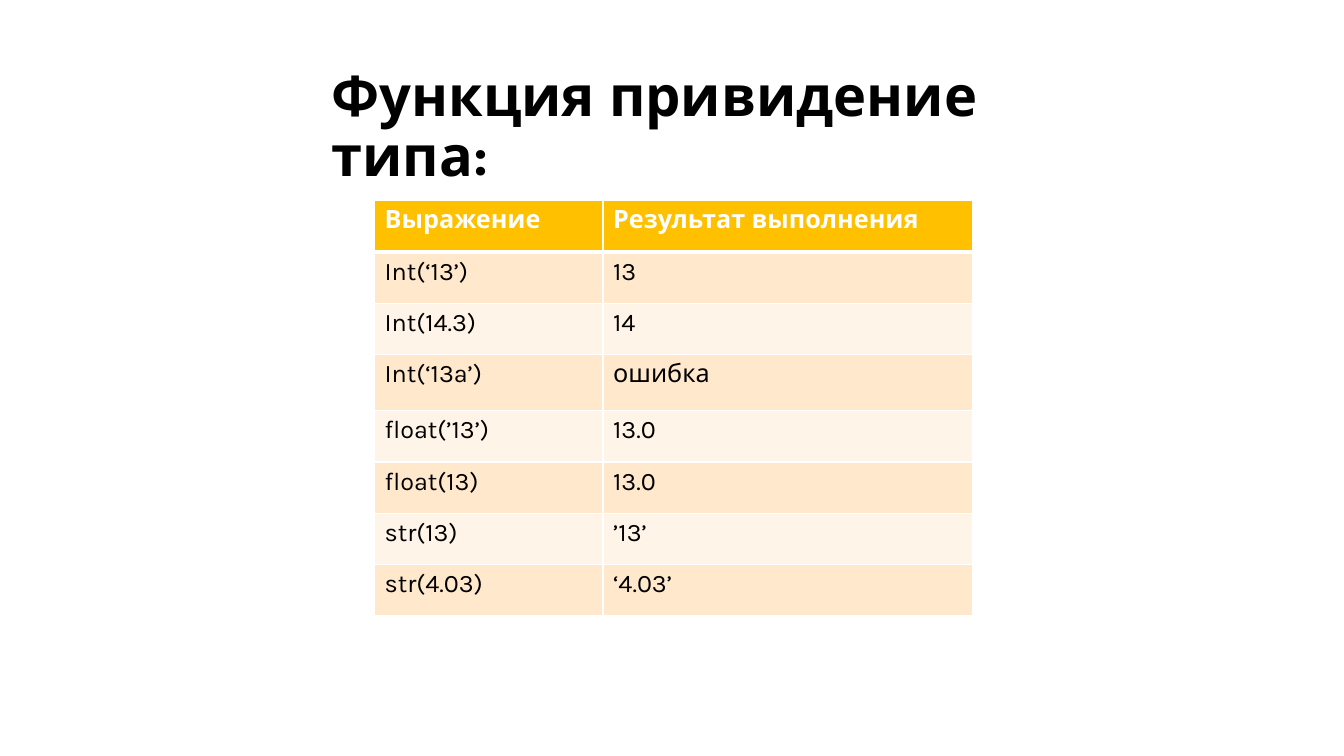
"""Builds a slide with a table of Python type conversions."""
from dataclasses import dataclass

import pptx
import pptx.dml.color
import pptx.enum.text
import pptx.oxml
import pptx.oxml.ns
import pptx.util

PX = 7620
FONT = "Karla"
BLACK, WHITE, GOLD = "000000", "FFFFFF", "FFC000"
BANDS = ("FFE8CC", "FFF4E7")
COLUMN_WIDTHS = (272, 440)
ROW_HEIGHT, ERROR_ROW_HEIGHT = 61, 67


@dataclass(frozen=True)
class Conversion:
    expression: str
    result: str
    height: int = ROW_HEIGHT


HEADER = Conversion("Выражение", "Результат выполнения")
CONVERSIONS = (
    Conversion("Int(‘13’)", "13"),
    Conversion("Int(14.3)", "14"),
    Conversion("Int(‘13a’)", "ошибка", ERROR_ROW_HEIGHT),
    Conversion("float(’13’)", "13.0"),
    Conversion("float(13)", "13.0"),
    Conversion("str(13)", "’13’"),
    Conversion("str(4.03)", "‘4.03’"),
)


def px(n: int) -> pptx.util.Emu:
    return pptx.util.Emu(n * PX)


def rgb(color: str) -> pptx.dml.color.RGBColor:
    return pptx.dml.color.RGBColor.from_string(color)


def add_run(p, text: str, size: int, color: str, bold: bool) -> None:
    r = p.add_run()
    r.text = text
    r.font.name = FONT
    r.font.size = pptx.util.Pt(size)
    r.font.bold = bold
    r.font.color.rgb = rgb(color)


def add_border(cell, side: str, width: int) -> None:
    cell._tc.get_or_add_tcPr().append(pptx.oxml.parse_xml(
        f'<a:ln{side} {pptx.oxml.ns.nsdecls("a")} w="{pptx.util.Pt(width)}">'
        f'<a:solidFill><a:srgbClr val="{WHITE}"/></a:solidFill></a:ln{side}>'))


def add_title(slide, text: str) -> None:
    sp = slide.shapes.title
    sp.left, sp.top, sp.width, sp.height = map(px, (383, 66, 835, 174))
    tf = sp.text_frame
    tf.word_wrap = True
    tf.auto_size = pptx.enum.text.MSO_AUTO_SIZE.NONE
    tf.vertical_anchor = pptx.enum.text.MSO_ANCHOR.MIDDLE
    p = tf.paragraphs[0]
    p.alignment = pptx.enum.text.PP_ALIGN.LEFT
    p.line_spacing = 0.9
    add_run(p, text, 40, BLACK, True)


def add_conversion_table(slide, left: int, top: int) -> None:
    rows = (HEADER, *CONVERSIONS)
    table = slide.shapes.add_table(
        len(rows), len(COLUMN_WIDTHS), px(left), px(top),
        px(sum(COLUMN_WIDTHS)), px(sum(row.height for row in rows))).table
    for column, width in zip(table.columns, COLUMN_WIDTHS):
        column.width = px(width)
    for i, row in enumerate(rows):
        table.rows[i].height = px(row.height)
        is_header = i == 0
        fill = GOLD if is_header else BANDS[(i - 1) % 2]
        widths = {"L": 1, "R": 1, "T": 3 if i == 1 else 1, "B": 3 if is_header else 1}
        for j, text in enumerate((row.expression, row.result)):
            cell = table.cell(i, j)
            for side, width in widths.items():
                add_border(cell, side, width)
            cell.fill.solid()
            cell.fill.fore_color.rgb = rgb(fill)
            add_run(cell.text_frame.paragraphs[0], text, 18,
                    WHITE if is_header else BLACK, is_header)


def main() -> None:
    prs = pptx.Presentation()
    prs.slide_width, prs.slide_height = px(1600), px(900)
    slide = prs.slides.add_slide(prs.slide_layouts.get_by_name("Title Only"))
    add_title(slide, "Функция привидение типа:")
    add_conversion_table(slide, 446, 239)
    prs.save("out.pptx")


if __name__ == "__main__":
    main()
